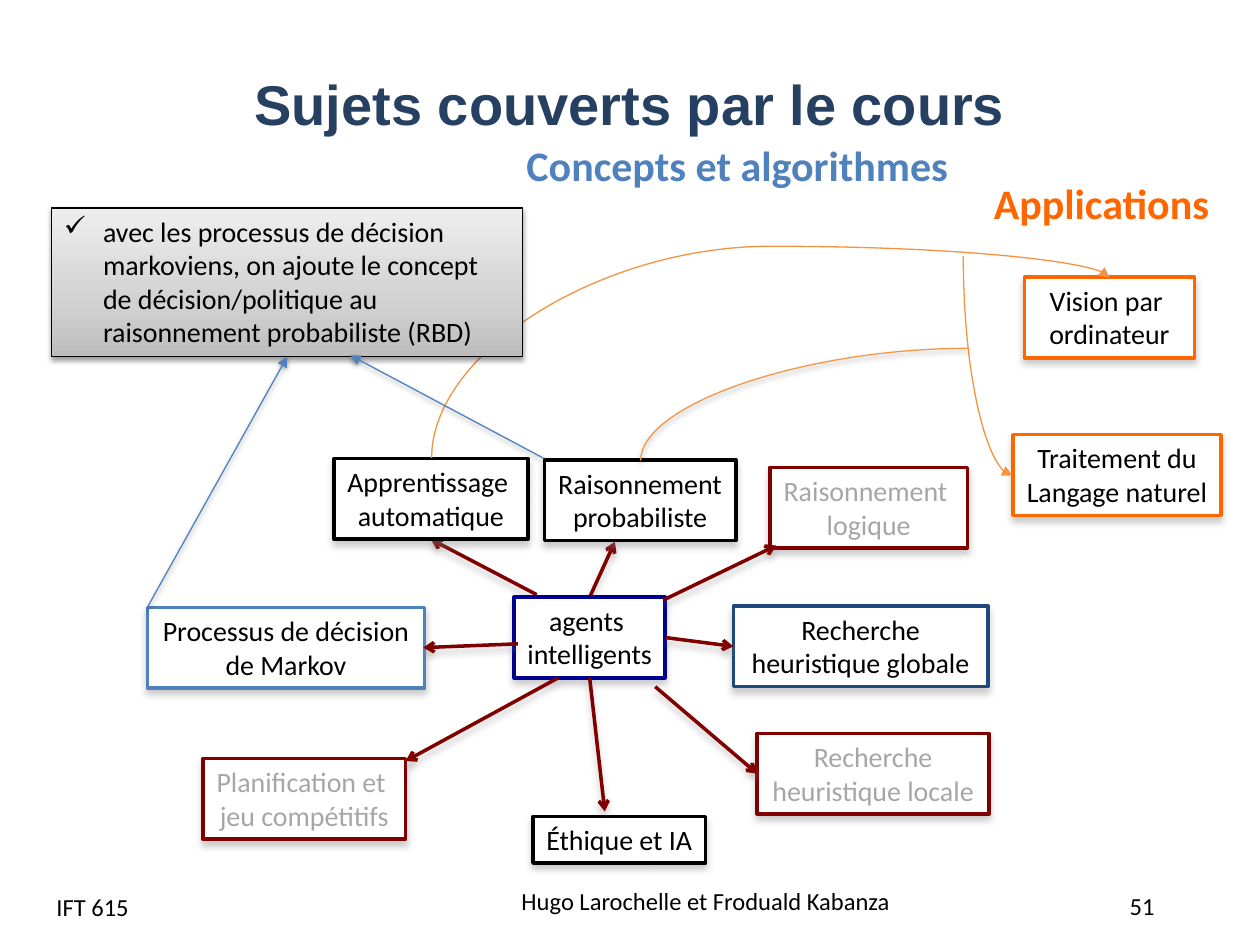
from dataclasses import dataclass

from lxml.etree import SubElement
from pptx import Presentation
from pptx.dml.color import RGBColor
from pptx.enum.shapes import MSO_CONNECTOR, MSO_SHAPE
from pptx.enum.text import MSO_ANCHOR, MSO_AUTO_SIZE, PP_ALIGN
from pptx.oxml.ns import qn
from pptx.util import Inches, Pt

COLORS = {
    "black": "000000", "white": "FFFFFF", "navy": "254061", "ink": "000090",
    "maroon": "800000", "gray": "A6A6A6", "blue": "4F81BD", "deep": "1F497D",
    "orange": "FF6600", "amber": "F69240", "apricot": "F79646", "shade": "808080",
}
NOTE_STOPS = ((0, "BDBDBD"), (35, "D1D1D1"), (100, "EEEEEE"))


@dataclass(frozen=True)
class Shadow:
    color: str
    alpha: int
    blur: float
    distance: float


SOFT = Shadow("shade", 40, 4, 3)
DARK = Shadow("black", 38, 3.1, 1.6)


@dataclass(frozen=True)
class Topic:
    lines: tuple[str, ...]
    left: float
    top: float
    width: float
    outline: str
    ink: str = "black"
    wrap: bool = False
    height: float = 0.64


@dataclass(frozen=True)
class Label:
    text: str
    left: float
    top: float
    width: float
    height: float
    size: int = 14
    color: str = "black"
    bold: bool = False
    align: PP_ALIGN = PP_ALIGN.LEFT
    anchor: MSO_ANCHOR = MSO_ANCHOR.MIDDLE


@dataclass(frozen=True)
class Curve:
    left: float
    top: float
    width: float
    height: float
    rotation: int
    flips: str
    preset: str
    color: str
    arrow: str | None = None
    bend: float | None = None
    shadow: Shadow | None = None


TOPICS = (
    Topic(("agents ", "intelligents"), 4.08, 4.74, 1.2, "ink"),
    Topic(("Raisonnement ", "logique"), 6.11, 3.71, 1.57, "maroon", "gray"),
    Topic(("Apprentissage ", "automatique"), 2.65, 3.64, 1.54, "black"),
    Topic(("Processus de décision ", "de Markov"), 1.17, 4.82, 2.2, "blue", wrap=True),
    Topic(("Planification et ", "jeu compétitifs"), 1.61, 6.02, 1.61, "maroon", "gray"),
    Topic(("Recherche heuristique locale",), 6.01, 5.82, 1.84, "maroon", "gray", True),
    Topic(("Recherche heuristique globale",), 5.82, 4.81, 2.02, "deep", wrap=True),
    Topic(("Éthique et IA",), 4.23, 6.48, 1.37, "black", height=0.37),
    Topic(("Raisonnement", "probabiliste"), 4.32, 3.65, 1.52, "black"),
    Topic(("Vision par ", "ordinateur"), 8.13, 2.2, 1.35, "orange", wrap=True),
    Topic(("Traitement du", "Langage naturel"), 8.04, 3.45, 1.65, "orange"),
)
SPOKES_BEHIND = ((4.68, 4.74, 4.88, 4.3), (4.26, 4.72, 3.42, 4.28))
SPOKES_FRONT = (
    (5.28, 5.06, 5.82, 5.13), (5.2, 5.45, 6.01, 6.14), (4.68, 5.38, 4.8, 6.44),
    (4.11, 5.11, 3.36, 5.14), (4.43, 5.38, 3.22, 6.04), (5.27, 4.76, 6.16, 4.33),
)
NOTE_LINKS = ((1.17, 4.82, 2.28, 2.83), (4.32, 3.64, 2.78, 2.82))
LABELS = (
    Label("Hugo Larochelle et Froduald Kabanza", 4.04, 6.95, 3.45, 0.4),
    Label("51", 8.66, 7.06, 0.81, 0.26, align=PP_ALIGN.CENTER),
    Label("IFT 615", 0.35, 7, 2.33, 0.4),
    Label("Applications", 7.79, 1.36, 1.93, 0.5, 24, "orange", True, anchor=MSO_ANCHOR.TOP),
    Label("Concepts et algorithmes", 4.08, 1.06, 3.58, 0.5, 24, "blue", True,
          anchor=MSO_ANCHOR.TOP),
)
CURVES = (
    Curve(5.4, 0.23, 1.43, 5.38, 90, "HV", "curvedConnector3", "amber", "triangle", 1.175),
    Curve(6.97, 2.71, 1.74, 0.39, 270, "H", "curvedConnector2", "amber", "triangle"),
    Curve(5.94, 1.91, 0.89, 2.6, 90, "HV", "curvedConnector2", "apricot", shadow=DARK),
)


def rgb(name: str) -> RGBColor:
    return RGBColor.from_string(COLORS[name])


def style(paragraph, size: int, color: str, align: PP_ALIGN, bold: bool = False,
          face: str = "Calibri") -> None:
    paragraph.alignment = align
    font = paragraph.font
    font.name, font.size, font.bold = face, Pt(size), bold
    font.color.rgb = rgb(color)


def cast_shadow(effects, shadow: Shadow) -> None:
    outer = SubElement(effects, qn("a:outerShdw"), blurRad=str(Pt(shadow.blur)),
                       dist=str(Pt(shadow.distance)), dir="5400000", rotWithShape="0")
    color = SubElement(outer, qn("a:srgbClr"), val=COLORS[shadow.color])
    SubElement(color, qn("a:alpha"), val=str(shadow.alpha * 1000))


def finish_line(line, color: str, width: float, arrow: str | None,
                shadow: Shadow | None) -> None:
    line.line.color.rgb = rgb(color)
    line.line.width = Pt(width)
    properties = line._element.spPr
    if arrow:
        SubElement(properties.find(qn("a:ln")), qn("a:tailEnd"), type=arrow)
    effects = SubElement(properties, qn("a:effectLst"))
    if shadow:
        cast_shadow(effects, shadow)


def draw_arrow(page, ends: tuple[float, ...], color: str, width: float, arrow: str,
               shadow: Shadow) -> None:
    line = page.shapes.add_connector(MSO_CONNECTOR.STRAIGHT, *map(Inches, ends))
    finish_line(line, color, width, arrow, shadow)


def draw_curve(page, curve: Curve) -> None:
    line = page.shapes.add_connector(
        MSO_CONNECTOR.CURVE, Inches(curve.left), Inches(curve.top),
        Inches(curve.left + curve.width), Inches(curve.top + curve.height))
    properties = line._element.spPr
    frame = properties.find(qn("a:xfrm"))
    frame.set("rot", str(curve.rotation * 60000))
    for flip in curve.flips:
        frame.set(f"flip{flip}", "1")
    geometry = properties.find(qn("a:prstGeom"))
    geometry.set("prst", curve.preset)
    if curve.bend:
        guides = geometry.find(qn("a:avLst"))
        if guides is None:
            guides = SubElement(geometry, qn("a:avLst"))
        SubElement(guides, qn("a:gd"), name="adj1", fmla=f"val {round(curve.bend * 100000)}")
    finish_line(line, curve.color, 0.75, curve.arrow, curve.shadow)


def add_box(page, left: float, top: float, width: float, height: float, outline: str,
            line_width: float, shadow: Shadow):
    box = page.shapes.add_shape(MSO_SHAPE.RECTANGLE, *map(Inches, (left, top, width, height)))
    box.line.color.rgb = rgb(outline)
    box.line.width = Pt(line_width)
    box.shadow.inherit = False
    cast_shadow(box._element.spPr.find(qn("a:effectLst")), shadow)
    box.text_frame.vertical_anchor = MSO_ANCHOR.TOP
    box.text_frame.auto_size = MSO_AUTO_SIZE.SHAPE_TO_FIT_TEXT
    return box


def draw_topic(page, topic: Topic) -> None:
    box = add_box(page, topic.left, topic.top, topic.width, topic.height, topic.outline, 2, SOFT)
    box.fill.solid()
    box.fill.fore_color.rgb = rgb("white")
    box.text_frame.word_wrap = topic.wrap
    box.text_frame.text = "\n".join(topic.lines)
    for paragraph in box.text_frame.paragraphs:
        style(paragraph, 16, topic.ink, PP_ALIGN.CENTER)


def draw_label(page, label: Label) -> None:
    box = page.shapes.add_textbox(
        *map(Inches, (label.left, label.top, label.width, label.height)))
    box.text_frame.word_wrap = label.size == 14
    box.text_frame.vertical_anchor = label.anchor
    box.text_frame.text = label.text
    style(box.text_frame.paragraphs[0], label.size, label.color, label.align, label.bold)


def draw_note(page) -> None:
    box = add_box(page, 0.41, 1.65, 3.74, 1.18, "black", 0.75, DARK)
    box.fill.gradient()
    box.fill.gradient_angle = 90
    stops = box._element.spPr.find(qn("a:gradFill")).find(qn("a:gsLst"))
    for stop in list(stops):
        stops.remove(stop)
    for position, color in NOTE_STOPS:
        stop = SubElement(stops, qn("a:gs"), pos=str(position * 1000))
        SubElement(stop, qn("a:srgbClr"), val=color)
    box.text_frame.word_wrap = True
    box.text_frame.text = ("avec les processus de décision markoviens, on ajoute le concept "
                           "de décision/politique au raisonnement probabiliste (RBD)")
    paragraph = box.text_frame.paragraphs[0]
    style(paragraph, 16, "black", PP_ALIGN.LEFT)
    properties = paragraph._p.get_or_add_pPr()
    properties.set("marL", str(Inches(0.31)))
    properties.set("indent", str(Inches(-0.31)))
    bullet = SubElement(properties, qn("a:buChar"), char="✓")
    properties.insert(0, bullet)


def main() -> None:
    deck = Presentation()
    deck.slide_width, deck.slide_height = Inches(10), Inches(7.5)
    page = deck.slides.add_slide(deck.slide_layouts[5])
    title = page.shapes.title
    title.left, title.top, title.width, title.height = map(Inches, (0.25, 0.43, 9.5, 0.77))
    title.text_frame.text = "Sujets couverts par le cours"
    title.text_frame.vertical_anchor = MSO_ANCHOR.MIDDLE
    style(title.text_frame.paragraphs[0], 32, "navy", PP_ALIGN.CENTER, True, "Arial")

    for ends in SPOKES_BEHIND:
        draw_arrow(page, ends, "maroon", 2, "arrow", SOFT)
    for topic in TOPICS:
        draw_topic(page, topic)
    for ends in SPOKES_FRONT:
        draw_arrow(page, ends, "maroon", 2, "arrow", SOFT)
    for label in LABELS:
        draw_label(page, label)
    for curve in CURVES:
        draw_curve(page, curve)
    draw_note(page)
    for ends in NOTE_LINKS:
        draw_arrow(page, ends, "blue", 0.75, "triangle", DARK)
    deck.save("out.pptx")


if __name__ == "__main__":
    main()
